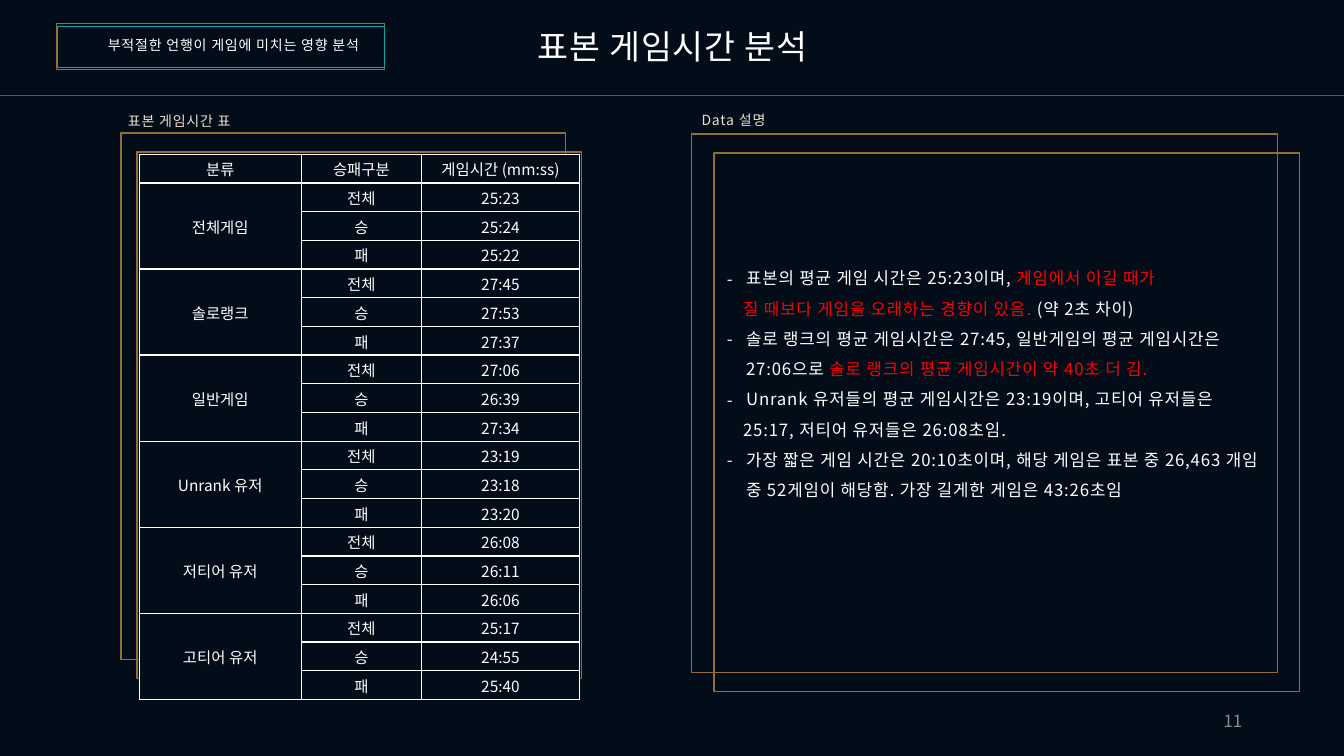
from lxml.etree import SubElement
from pptx import Presentation
from pptx.dml.color import RGBColor
from pptx.enum.shapes import MSO_CONNECTOR, MSO_SHAPE
from pptx.enum.text import MSO_ANCHOR, MSO_AUTO_SIZE, PP_ALIGN
from pptx.oxml.ns import qn
from pptx.util import Inches, Pt

FONT = "Noto Sans CJK KR"
NAVY = RGBColor(0x02, 0x0D, 0x19)
BRONZE = RGBColor(0x93, 0x6E, 0x37)
DARK_BRONZE = RGBColor(0x75, 0x58, 0x27)
TEAL = RGBColor(0x09, 0xA6, 0xA5)
CREAM = RGBColor(0xEC, 0xDF, 0xCC)
WHITE = RGBColor(0xFF, 0xFF, 0xFF)
RED = RGBColor(0xFF, 0x00, 0x00)
GRAY = RGBColor(0x8C, 0x8C, 0x8C)

HEADINGS = ["분류", "승패구분", "게임시간 (mm:ss)"]
OUTCOMES = ["전체", "승", "패"]
GAME_TIMES = {
    "전체게임": ["25:23", "25:24", "25:22"],
    "솔로랭크": ["27:45", "27:53", "27:37"],
    "일반게임": ["27:06", "26:39", "27:34"],
    "Unrank 유저": ["23:19", "23:18", "23:20"],
    "저티어 유저": ["26:08", "26:11", "26:06"],
    "고티어 유저": ["25:17", "24:55", "25:40"],
}
NOTES = [
    (True, [("표본의 평균 게임 시간은 25:23이며, ", WHITE), ("게임에서 이길 때가", RED)]),
    (False, [("질 때보다 게임을 오래하는 경향이 있음.", RED), (" (약 2초 차이)", WHITE)]),
    (True, [("솔로 랭크의 평균 게임시간은 27:45, 일반게임의 평균 게임시간은 27:06으로 ", WHITE),
            ("솔로 랭크의 평균 게임시간이 약 40초 더 김.", RED)]),
    (True, [("Unrank 유저들의 평균 게임시간은 23:19이며, 고티어 유저들은", WHITE)]),
    (False, [("25:17, 저티어 유저들은 26:08초임.", WHITE)]),
    (True, [("가장 짧은 게임 시간은 20:10초이며, 해당 게임은 표본 중 26,463 개임 중 "
             "52게임이 해당함. 가장 길게한 게임은 43:26초임", WHITE)]),
]


def add_run(paragraph, text, size, color, spacing=60):
    """Append a formatted run, with letter spacing in hundredths of a point."""
    run = paragraph.add_run()
    run.text = text
    run.font.size = Pt(size)
    run.font.name = FONT
    run.font.color.rgb = color
    properties = run.font._element
    properties.set("spc", str(spacing))
    SubElement(properties, qn("a:ea"), typeface=FONT)


def place(shape, left, top, width, height):
    """Move and size a shape, in inches."""
    shape.left, shape.top = Inches(left), Inches(top)
    shape.width, shape.height = Inches(width), Inches(height)


def prepare_frame(shape, anchor=MSO_ANCHOR.TOP):
    """Set wrapping, anchor and fitting of a shape's text and return its frame."""
    frame = shape.text_frame
    frame.word_wrap = True
    frame.auto_size = MSO_AUTO_SIZE.NONE
    frame.vertical_anchor = anchor
    return frame


def add_label(slide, text, box, size, color, align=PP_ALIGN.LEFT,
              anchor=MSO_ANCHOR.TOP, spacing=60):
    """Add a one-line text box."""
    label = slide.shapes.add_textbox(*map(Inches, box))
    paragraph = prepare_frame(label, anchor).paragraphs[0]
    paragraph.alignment = align
    add_run(paragraph, text, size, color, spacing)


def add_double_frame(slide, *outlines):
    """Group unfilled rectangles given as (box, colour, line width)."""
    group = slide.shapes.add_group_shape()
    for box, color, width in outlines:
        shape = group.shapes.add_shape(MSO_SHAPE.RECTANGLE, *map(Inches, box))
        shape.shadow.inherit = False
        shape.fill.background()
        shape.line.color.rgb = color
        shape.line.width = Pt(width)


def add_header_rule(slide):
    """Draw the full-width line below the header."""
    rule = slide.shapes.add_connector(
        MSO_CONNECTOR.STRAIGHT, 0, Inches(0.95), Inches(13.33), Inches(0.95))
    rule.line.color.rgb = DARK_BRONZE
    rule.line.width = Pt(0.5)
    SubElement(rule._element.spPr, qn("a:effectLst"))


def fill_title(slide):
    """Format the title placeholder."""
    title = slide.shapes.title
    place(title, 4.93, 0.21, 3.48, 0.5)
    paragraph = prepare_frame(title).paragraphs[0]
    paragraph.alignment = PP_ALIGN.CENTER
    add_run(paragraph, "표본 게임시간 분석", 24, WHITE)


def fill_notes(slide):
    """Write the dashed list into the body placeholder."""
    body = slide.placeholders[1]
    place(body, 7.11, 2.51, 5.56, 2.49)
    frame = prepare_frame(body)
    for index, (bulleted, runs) in enumerate(NOTES):
        paragraph = frame.add_paragraph() if index else frame.paragraphs[0]
        paragraph.line_spacing = 1.5
        paragraph.space_before = Pt(0)
        properties = paragraph._p.get_or_add_pPr()
        properties.set("marL", str(Inches(0.19 if bulleted else 0.16)))
        properties.set("indent", str(Inches(-0.19 if bulleted else 0)))
        if bulleted:
            SubElement(properties, qn("a:buFont"), typeface=FONT)
            SubElement(properties, qn("a:buChar"), char="-")
        else:
            SubElement(properties, qn("a:buNone"))
        for text, color in runs:
            add_run(paragraph, text, 12, color)


def format_cell(cell, text):
    """Give a cell its text, fill and white borders."""
    cell.margin_left = cell.margin_right = cell.margin_top = Inches(0.01)
    cell.margin_bottom = 0
    cell.vertical_anchor = MSO_ANCHOR.MIDDLE
    paragraph = cell.text_frame.paragraphs[0]
    paragraph.alignment = PP_ALIGN.CENTER
    if text:
        add_run(paragraph, text, 11, WHITE, 0)
    properties = cell._tc.get_or_add_tcPr()
    for side in ("a:lnL", "a:lnR", "a:lnT", "a:lnB"):
        border = SubElement(properties, qn(side), w=str(Pt(1)))
        fill = SubElement(border, qn("a:solidFill"))
        SubElement(fill, qn("a:srgbClr"), val=str(WHITE))
    cell.fill.solid()
    cell.fill.fore_color.rgb = NAVY


def add_time_table(slide):
    """Add the table of game times, one merged label per category."""
    rows = [HEADINGS]
    for category, times in GAME_TIMES.items():
        labels = [category, "", ""]
        rows.extend(zip(labels, OUTCOMES, times))
    table = slide.shapes.add_table(
        len(rows), len(HEADINGS), *map(Inches, (1.38, 1.53, 4.37, 5.41))).table
    for column, width in zip(table.columns, (1.61, 1.19, 1.57)):
        column.width = Inches(width)
    for row_index, row in enumerate(rows):
        for column_index, text in enumerate(row):
            format_cell(table.cell(row_index, column_index), text)
    for first in range(1, len(rows), len(OUTCOMES)):
        table.cell(first, 0).merge(table.cell(first + len(OUTCOMES) - 1, 0))


def main():
    """Build and save the slide."""
    presentation = Presentation()
    presentation.slide_width = Inches(13.33)
    presentation.slide_height = Inches(7.5)
    slide = presentation.slides.add_slide(presentation.slide_layouts[1])
    slide.background.fill.solid()
    slide.background.fill.fore_color.rgb = NAVY

    fill_title(slide)
    add_header_rule(slide)
    add_double_frame(slide, ((0.56, 0.23, 3.25, 0.46), BRONZE, 0.25),
                     ((0.57, 0.26, 3.24, 0.41), TEAL, 0.75))
    add_label(slide, "부적절한 언행이 게임에 미치는 영향 분석",
              (0.82, 0.31, 2.99, 0.27), 10, WHITE, PP_ALIGN.CENTER)

    add_double_frame(slide, ((1.2, 1.32, 4.41, 5.22), BRONZE, 1),
                     ((1.36, 1.51, 4.41, 5.22), BRONZE, 1))
    add_label(slide, "표본 게임시간 표", (1.17, 1.07, 2.05, 0.27), 10, CREAM)
    add_time_table(slide)

    add_double_frame(slide, ((6.86, 1.33, 5.81, 5.34), BRONZE, 1),
                     ((7.08, 1.52, 5.81, 5.34), BRONZE, 1))
    add_label(slide, "Data 설명", (6.86, 1.06, 2.05, 0.27), 10, CREAM)
    fill_notes(slide)
    add_label(slide, "11", (9.42, 6.95, 3, 0.4), 12, GRAY,
              PP_ALIGN.RIGHT, MSO_ANCHOR.MIDDLE, 0)
    presentation.save("out.pptx")


if __name__ == "__main__":
    main()
